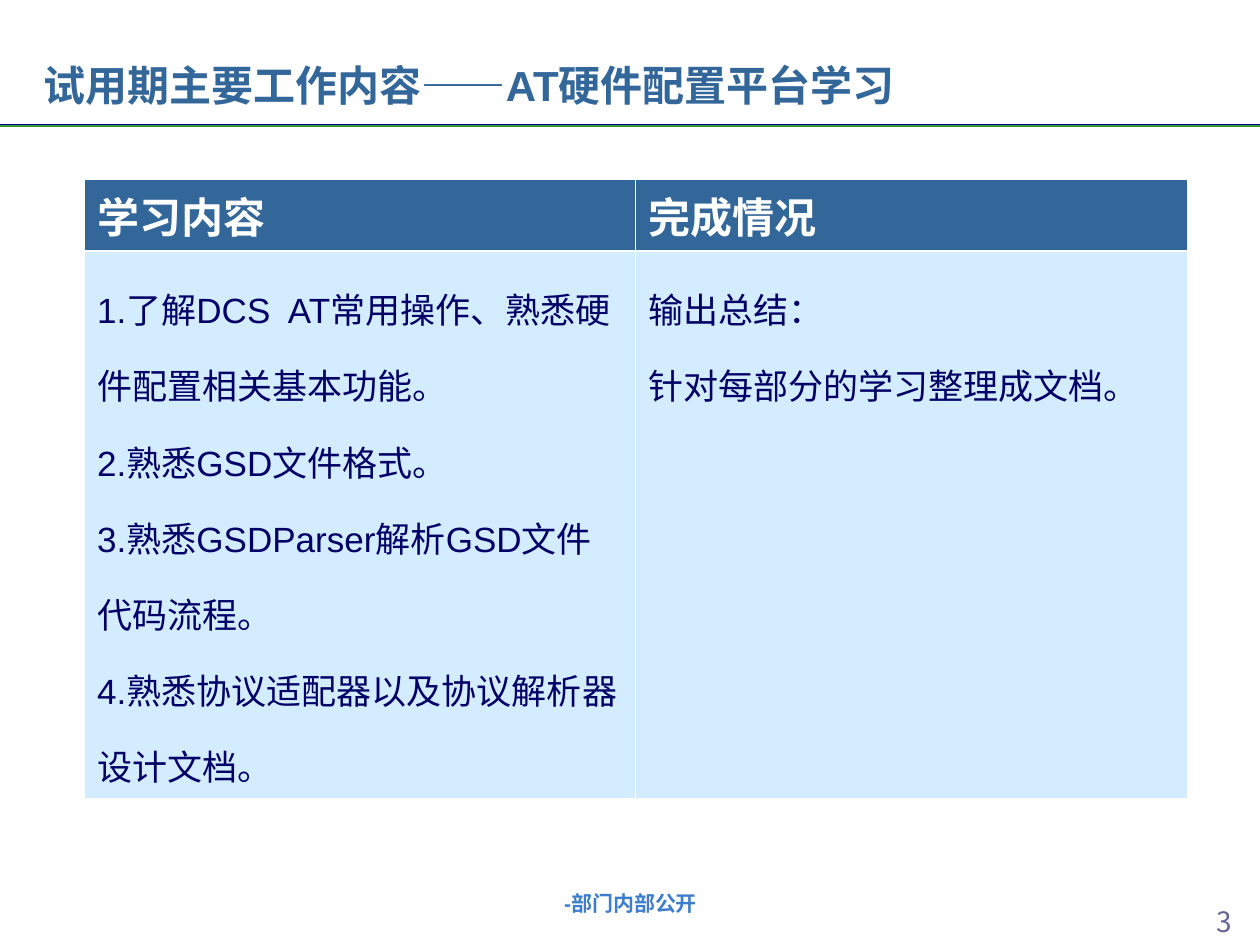
from lxml import etree
from pptx import Presentation
from pptx import util as u
from pptx.dml.color import RGBColor
from pptx.enum import shapes, text
from pptx.oxml import ns

WHITE = RGBColor(0xFF, 0xFF, 0xFF)
STEEL = RGBColor(0x33, 0x66, 0x99)
ICE = RGBColor(0xD3, 0xEC, 0xFF)
NAVY = RGBColor(0x00, 0x00, 0x66)
RULE_BLUE = RGBColor(0x00, 0x00, 0x99)
RULE_GREEN = RGBColor(0x33, 0x99, 0x33)
FOOTER_BLUE = RGBColor(0x3D, 0x7D, 0xCB)
SLATE = RGBColor(0x66, 0x66, 0x99)

LATIN, CHINESE = "Arial", "Noto Sans CJK SC"
COLUMNS, ROWS = 100, 75

HEADINGS = ["学习内容", "完成情况"]
STUDY_ITEMS = [
    "1.了解DCS  AT常用操作、熟悉硬件配置相关基本功能。",
    "2.熟悉GSD文件格式。",
    "3.熟悉GSDParser解析GSD文件代码流程。",
    "4.熟悉协议适配器以及协议解析器设计文档。",
]
RESULTS = ["输出总结：", "针对每部分的学习整理成文档。"]


def write(frame, lines, size, color, bold=False, face=LATIN,
          align=text.PP_ALIGN.LEFT, spacing=None):
    """Fill a text frame with one paragraph per line."""
    frame.word_wrap = True
    for index, line in enumerate(lines):
        paragraph = frame.add_paragraph() if index else frame.paragraphs[0]
        paragraph.alignment = align
        paragraph.line_spacing = spacing
        run = paragraph.add_run()
        run.text = line
        font = run.font
        font.size, font.bold, font.name = u.Pt(size), bold, face
        font.color.rgb = color
        properties = run._r.get_or_add_rPr()
        etree.SubElement(properties, ns.qn("a:ea"), typeface=CHINESE)


def border(cell, **widths):
    """Draw white edges; the keywords L, R, T and B give widths in points."""
    properties = cell._tc.get_or_add_tcPr()
    for side, width in widths.items():
        edge = etree.SubElement(properties, ns.qn(f"a:ln{side}"), w=str(u.Pt(width)))
        fill = etree.SubElement(edge, ns.qn("a:solidFill"))
        etree.SubElement(fill, ns.qn("a:srgbClr"), val=str(WHITE))


class Deck:
    """Places elements on the current slide in grid columns and rows."""

    def __init__(self):
        self.presentation = Presentation()
        self.presentation.slide_width = u.Inches(10)
        self.presentation.slide_height = u.Inches(7.5)
        self.column = self.presentation.slide_width / COLUMNS
        self.row = self.presentation.slide_height / ROWS
        self.slide = self.presentation.slides.add_slide(
            self.presentation.slide_layouts[6])

    def place(self, x, y, width, height):
        return (round(x * self.column), round(y * self.row),
                round(width * self.column), round(height * self.row))

    def label(self, area, words, anchor=text.MSO_ANCHOR.TOP, **style):
        frame = self.slide.shapes.add_textbox(*self.place(*area)).text_frame
        frame.vertical_anchor = anchor
        write(frame, [words], **style)

    def rule(self, y, color):
        left, top, width, _ = self.place(0, y, COLUMNS, 0)
        line = self.slide.shapes.add_connector(
            shapes.MSO_CONNECTOR.STRAIGHT, left, top, left + width, top)
        line.line.color.rgb = color
        line.line.width = u.Pt(1.5)
        etree.SubElement(line._element.spPr, ns.qn("a:effectLst"))

    def table(self, x, y, width, row_heights, headings, contents):
        area = self.place(x, y, width, sum(row_heights))
        grid = self.slide.shapes.add_table(
            len(row_heights), len(headings), *area).table
        for row, height in zip(grid.rows, row_heights):
            row.height = round(height * self.row)
        for index, (heading, lines) in enumerate(zip(headings, contents)):
            head, body = grid.cell(0, index), grid.cell(1, index)
            border(head, L=0.45, R=0.45, T=0.45, B=1.47)
            border(body, L=0.45, R=0.45, T=1.47, B=0.45)
            for cell, color in ((head, STEEL), (body, ICE)):
                cell.fill.solid()
                cell.fill.fore_color.rgb = color
            write(head.text_frame, [heading], size=24, color=WHITE, bold=True)
            write(body.text_frame, lines, size=20, color=NAVY, spacing=1.5)


def main():
    deck = Deck()
    center = text.PP_ALIGN.CENTER
    deck.label((94.3, 71.3, 5.7, 4.2), "3", size=16, color=SLATE,
               face=CHINESE, align=center)
    deck.rule(9.93, RULE_BLUE)
    deck.rule(10, RULE_GREEN)
    deck.label((2.5, 0, 89.8, 9.2), "试用期主要工作内容——AT硬件配置平台学习",
               anchor=text.MSO_ANCHOR.BOTTOM, size=24, color=STEEL, bold=True)
    deck.label((34.2, 70.2, 31.7, 3.4), "-部门内部公开", size=12,
               color=FOOTER_BLUE, bold=True, align=center)
    deck.table(6.7, 14.2, 87.5, (5.75, 43.4), HEADINGS, (STUDY_ITEMS, RESULTS))
    deck.presentation.save("out.pptx")


if __name__ == "__main__":
    main()
